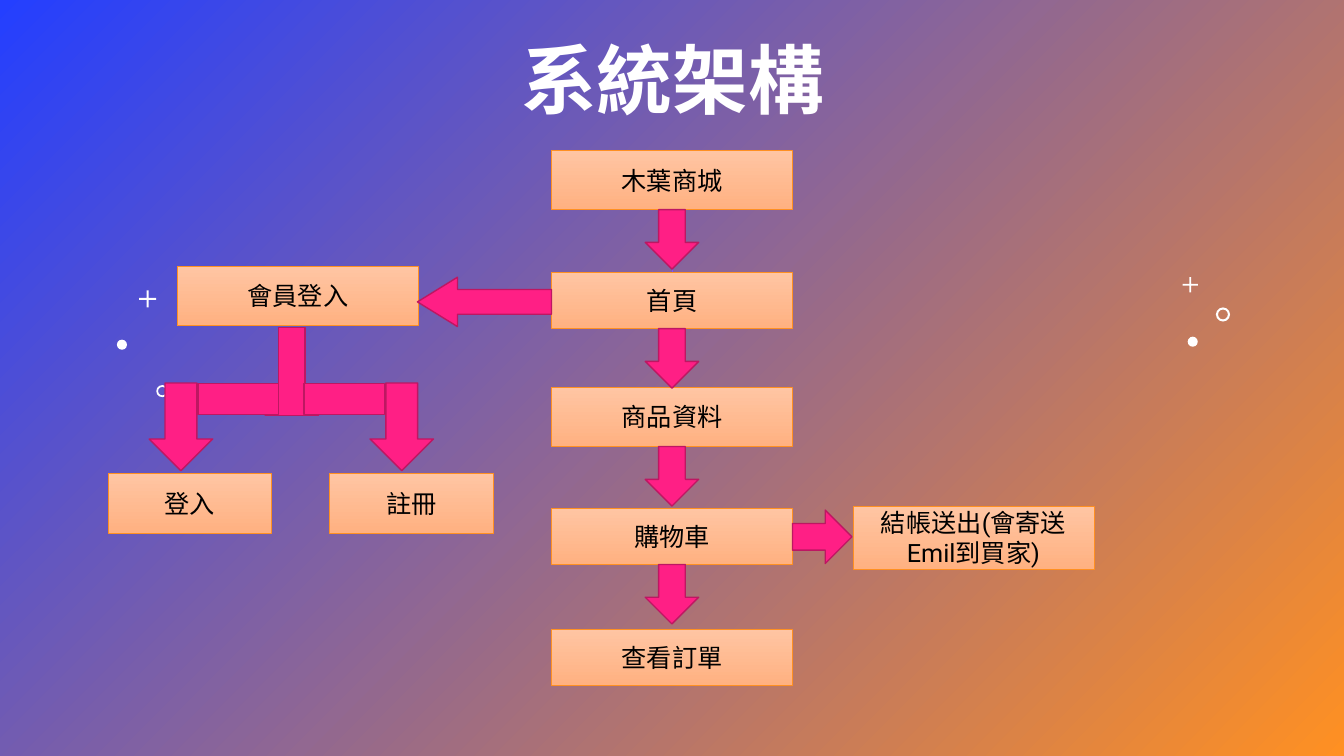
from lxml import etree
from pptx import Presentation
from pptx.dml.color import RGBColor
from pptx.enum import shapes, text
from pptx.oxml import ns
from pptx.util import Inches, Pt

SHAPE = shapes.MSO_SHAPE
WHITE, BLACK = "FFFFFF", "000000"
HAN_FONT = "Noto Sans CJK TC"


def rgb(value):
    return RGBColor.from_string(value)


def shade(fill, colors, clockwise):
    """Give a fill a two-colour gradient at a clockwise angle."""
    fill.gradient()
    fill.gradient_angle = 360 - clockwise
    for stop, color, position in zip(fill.gradient_stops, colors, (0, 1)):
        stop.color.rgb = rgb(color)
        stop.position = position


class FlowSlide:
    box_fill, box_line = ("FFC5A3", "FFB181"), "FF9022"
    arrow_fill, arrow_line = "FF1F85", "BD1762"

    def __init__(self, slide):
        self.slide = slide
        shade(slide.background.fill, ("243FFF", "FF9022"), 45)

    def label(self, frame, words, size, font, color, bold=False):
        frame.text = words
        frame.word_wrap = True
        paragraph = frame.paragraphs[0]
        paragraph.alignment = text.PP_ALIGN.CENTER
        for run in paragraph.runs:
            run.font.size, run.font.bold = Pt(size), bold
            run.font.color.rgb = rgb(color)
            run.font.name = font
            east_asian = etree.SubElement(run.font._element, ns.qn("a:ea"))
            east_asian.set("typeface", HAN_FONT)

    def title(self, words, left, top, width, height):
        heading = self.slide.shapes.add_textbox(
            Inches(left), Inches(top), Inches(width), Inches(height))
        frame = heading.text_frame
        self.label(frame, words, 54, HAN_FONT, WHITE, bold=True)
        frame.vertical_anchor = text.MSO_ANCHOR.BOTTOM
        frame.paragraphs[0].line_spacing = 0.9

    def place(self, kind, left, top, width, height, adjust=()):
        item = self.slide.shapes.add_shape(
            kind, Inches(left), Inches(top), Inches(width), Inches(height))
        item.shadow.inherit = False
        for index, value in enumerate(adjust):
            item.adjustments[index] = value
        return item

    def ornament(self, kind, left, top, size, adjust=()):
        mark = self.place(kind, left, top, size, size, adjust)
        mark.fill.solid()
        mark.fill.fore_color.rgb = rgb(WHITE)
        mark.line.fill.background()

    def box(self, words, left, top, width, height):
        step = self.place(SHAPE.RECTANGLE, left, top, width, height)
        shade(step.fill, self.box_fill, 90)
        step.line.color.rgb = rgb(self.box_line)
        step.line.width = Pt(0.5)
        self.label(step.text_frame, words, 18, "Roboto", BLACK)
        step.text_frame.vertical_anchor = text.MSO_ANCHOR.MIDDLE
        return step

    def arrow(self, left, top, width, height, rotation=0, adjust=()):
        """Draw a block arrow that points down before it is rotated."""
        block = self.place(SHAPE.DOWN_ARROW, left, top, width, height, adjust)
        block.rotation = rotation
        block.fill.solid()
        block.fill.fore_color.rgb = rgb(self.arrow_fill)
        block.line.color.rgb = rgb(self.arrow_line)
        block.line.width = Pt(1)

    def link(self, source, x, top, bottom):
        """Draw a thin line down from the bottom of a box."""
        line = self.slide.shapes.add_connector(
            shapes.MSO_CONNECTOR.STRAIGHT,
            Inches(x), Inches(top), Inches(x), Inches(bottom))
        line.begin_connect(source, 2)
        line.line.color.rgb = rgb("814DFF")
        line.line.width = Pt(0.5)
        etree.SubElement(line._element.spPr, ns.qn("a:effectLst"))


def main():
    deck = Presentation()
    deck.slide_width, deck.slide_height = Inches(13.33), Inches(7.5)
    flow = FlowSlide(deck.slides.add_slide(deck.slide_layouts[6]))

    for kind, left, top, size, adjust in (
        (SHAPE.OVAL, 11.78, 3.34, 0.1, ()),
        (SHAPE.CROSS, 11.73, 2.75, 0.15, (0.44,)),
        (SHAPE.DONUT, 12.06, 3.05, 0.14, (0.15,)),
        (SHAPE.CROSS, 1.38, 2.88, 0.17, (0.44,)),
        (SHAPE.OVAL, 1.16, 3.37, 0.1, ()),
        (SHAPE.DONUT, 1.55, 3.82, 0.12, (0.15,)),
    ):
        flow.ornament(kind, left, top, size, adjust)

    flow.title("系統架構", 1.67, 0.08, 10, 1.21)

    main_left, box_width = 5.47, 2.39
    main_steps = (
        ("木葉商城", 1.49, 0.59),
        ("首頁", 2.7, 0.56),
        ("商品資料", 3.84, 0.59),
        ("購物車", 5.04, 0.56),
        ("查看訂單", 6.24, 0.56),
    )
    for index, (words, top, height) in enumerate(main_steps):
        step = flow.box(words, main_left, top, box_width, height)
        if index == 0:
            flow.link(step, main_left + box_width / 2, top + height, 2.99)
    flow.box("結帳送出(會寄送Emil到買家)", 8.46, 5.02, box_width, 0.63)
    flow.box("會員登入", 1.76, 2.64, box_width, 0.59)
    for words, left in (("登入", 1.07), ("註冊", 3.27)):
        flow.box(words, left, 4.7, 1.62, 0.59)

    for words, top, height in main_steps[:-1]:
        flow.arrow(6.4, top + height, 0.53, 0.59)
    flow.arrow(7.89, 5.03, 0.53, 0.59, rotation=270)
    flow.arrow(4.56, 2.33, 0.49, 1.33, rotation=90, adjust=(0.5, 0.81))

    flow.arrow(2.63, 3.25, 0.53, 0.87, adjust=(0.5, 0))
    for left in (1.48, 3.67):
        flow.arrow(left, 3.8, 0.63, 0.87)
    for left in (2.21, 3.26):
        flow.arrow(left, 3.56, 0.31, 0.8, rotation=90, adjust=(1, 0))

    deck.save("out.pptx")


if __name__ == "__main__":
    main()
